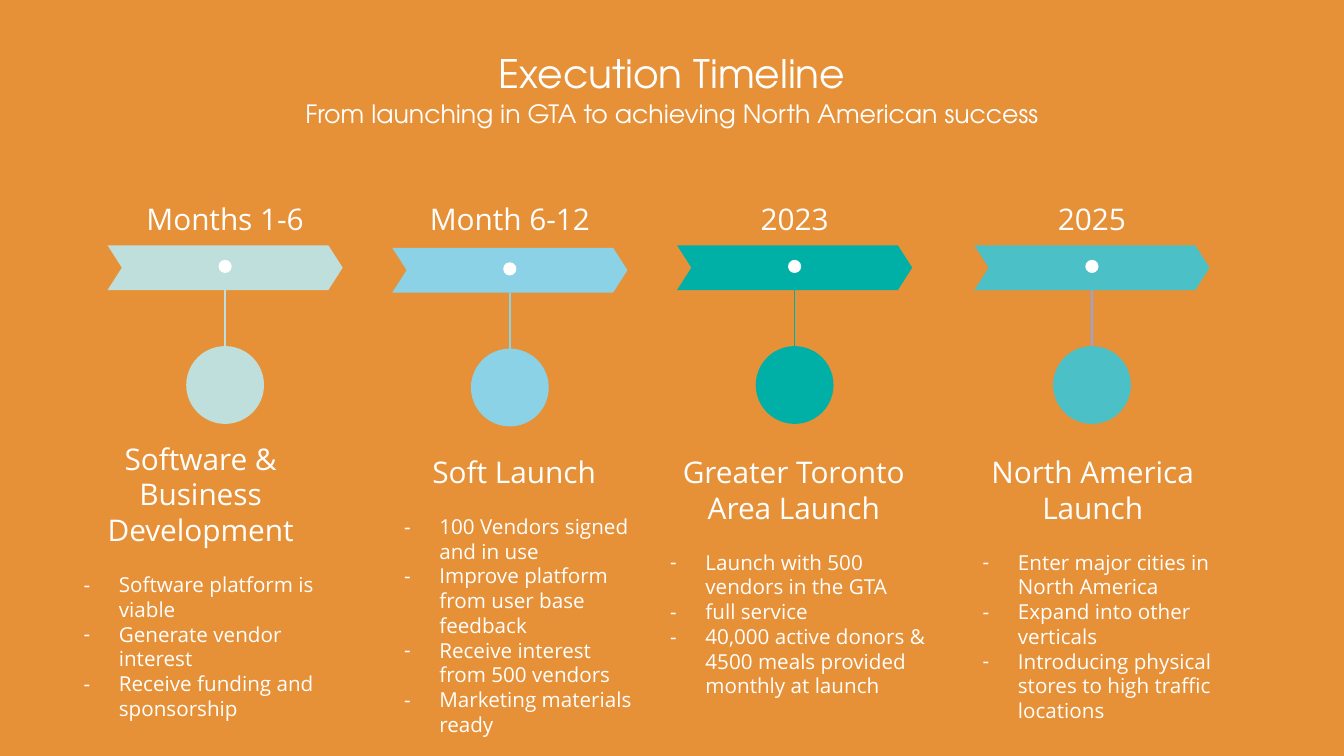
from dataclasses import dataclass

import pptx
import pptx.dml.color
import pptx.enum.shapes
import pptx.enum.text
import pptx.oxml
import pptx.oxml.ns
import pptx.util
from pptx.util import Pt

SHAPE = pptx.enum.shapes.MSO_SHAPE
ALIGN = pptx.enum.text.PP_ALIGN
ANCHOR = pptx.enum.text.MSO_ANCHOR

WHITE = "FFFFFF"
BODY_FONT = "Open Sans"
TITLE_FONT = "TeX Gyre Adventor"
HEADING_SIZE = 21.3
GOAL_SIZE = 14.7

ARROW_WIDTH, ARROW_HEIGHT = 168, 32
DOT_SIZE, DOT_DROP = 9.4, 10.4
CIRCLE_SIZE, CIRCLE_DROP = 55.6, 72
DATE_WIDTH, DATE_HEIGHT, DATE_TOP = 138, 33, 140


@dataclass
class Phase:
    date: str
    heading: str
    goals: list
    color: str
    stem_color: str
    center: float
    arrow_top: float
    plan_box: tuple


PHASES = [
    Phase("Months 1-6", "Software & Business Development",
          ["Software platform is viable", "Generate vendor interest",
           "Receive funding and sponsorship"],
          "BEDFDC", "BEDFDC", 160.8, 175.2, (41.8, 311, 203, 86.4)),
    Phase("Month 6-12", "Soft Launch",
          ["100 Vendors signed and in use",
           "Improve platform from user base feedback",
           "Receive interest from 500 vendors", "Marketing materials ready"],
          "8BD2E6", "8BD2E6", 364.2, 177, (270.7, 320.4, 193, 86.4)),
    Phase("2023", "Greater Toronto Area Launch",
          ["Launch with 500 vendors in the GTA", "full service",
           "40,000 active donors & 4500 meals provided monthly at launch"],
          "00B0A6", "00B0A6", 567.6, 175.2, (460.8, 320.4, 212.4, 213)),
    Phase("2025", "North America Launch",
          ["Enter major cities in North America", "Expand into other verticals",
           "Introducing physical stores to high traffic locations"],
          "4CC0C7", "91A4E9", 780, 175.2, (684, 320.4, 193, 86.4)),
]


def rgb(color):
    return pptx.dml.color.RGBColor.from_string(color)


def write(paragraph, text, *, size, font=BODY_FONT, color=WHITE,
          align=ALIGN.LEFT, before=0, spacing=1.0):
    run = paragraph.add_run()
    run.text = text
    run.font.size = Pt(size)
    run.font.name = font
    run.font.color.rgb = rgb(color)
    paragraph.alignment = align
    paragraph.space_before = Pt(before)
    paragraph.line_spacing = spacing


def set_bullet(paragraph, mark=None, margin=0, indent=0):
    """Set the indents and the bullet mark, or no bullet if mark is None."""
    properties = paragraph._p.get_or_add_pPr()
    properties.set("marL", str(Pt(margin)))
    properties.set("indent", str(Pt(indent)))
    namespace = pptx.oxml.ns.nsdecls("a")
    if mark is None:
        parts = [f"<a:buNone {namespace}/>"]
    else:
        parts = [
            f'<a:buClr {namespace}><a:srgbClr val="{WHITE}"/></a:buClr>',
            f'<a:buFont {namespace} typeface="{BODY_FONT}"/>',
            f'<a:buChar {namespace} char="{mark}"/>',
        ]
    for part in parts:
        properties.append(pptx.oxml.parse_xml(part))


def fill_placeholder(placeholder, text, box, anchor, size):
    placeholder.left, placeholder.top, placeholder.width, placeholder.height = map(Pt, box)
    frame = placeholder.text_frame
    frame.margin_left = frame.margin_right = frame.margin_top = frame.margin_bottom = 0
    frame.auto_size = pptx.enum.text.MSO_AUTO_SIZE.NONE
    frame.vertical_anchor = anchor
    paragraph = frame.paragraphs[0]
    set_bullet(paragraph)
    write(paragraph, text, size=size, font=TITLE_FONT, align=ALIGN.CENTER, spacing=0.86)


def add_text_frame(slide, box):
    frame = slide.shapes.add_textbox(*map(Pt, box)).text_frame
    frame.word_wrap = True
    return frame


def add_filled(shapes, kind, box, color):
    shape = shapes.add_shape(kind, *map(Pt, box))
    shape.shadow.inherit = False
    shape.fill.solid()
    shape.fill.fore_color.rgb = rgb(color)
    shape.line.fill.background()
    return shape


def add_arrow(slide, phase):
    """Add the chevron with its white dot as one group."""
    group = slide.shapes.add_group_shape()
    arrow = add_filled(group.shapes, SHAPE.CHEVRON,
                       (phase.center - ARROW_WIDTH / 2, phase.arrow_top,
                        ARROW_WIDTH, ARROW_HEIGHT), phase.color)
    arrow.adjustments[0] = 0.32
    add_filled(group.shapes, SHAPE.OVAL,
               (phase.center - DOT_SIZE / 2, phase.arrow_top + DOT_DROP,
                DOT_SIZE, DOT_SIZE), WHITE)


def add_stem(slide, phase, circle):
    """Join the top of the circle to the arrow above it."""
    stem = slide.shapes.add_connector(
        pptx.enum.shapes.MSO_CONNECTOR.STRAIGHT,
        Pt(phase.center), Pt(phase.arrow_top + CIRCLE_DROP),
        Pt(phase.center), Pt(phase.arrow_top + ARROW_HEIGHT))
    stem.begin_connect(circle, 0)
    stem.line.color.rgb = rgb(phase.stem_color)
    stem.line.width = Pt(1)
    stem._element.spPr.append(
        pptx.oxml.parse_xml(f"<a:effectLst {pptx.oxml.ns.nsdecls('a')}/>"))


def add_plan(slide, phase):
    frame = add_text_frame(slide, phase.plan_box)
    write(frame.paragraphs[0], phase.heading, size=HEADING_SIZE, align=ALIGN.CENTER)
    for number, goal in enumerate(phase.goals):
        paragraph = frame.add_paragraph()
        set_bullet(paragraph, "-", margin=36, indent=-25.2)
        write(paragraph, goal, size=GOAL_SIZE, before=0 if number else 17.6)


def add_phase(slide, phase):
    add_arrow(slide, phase)
    circle = add_filled(slide.shapes, SHAPE.OVAL,
                        (phase.center - CIRCLE_SIZE / 2, phase.arrow_top + CIRCLE_DROP,
                         CIRCLE_SIZE, CIRCLE_SIZE), phase.color)
    add_stem(slide, phase, circle)
    date = add_text_frame(slide, (phase.center - DATE_WIDTH / 2, DATE_TOP,
                                  DATE_WIDTH, DATE_HEIGHT))
    write(date.paragraphs[0], phase.date, size=HEADING_SIZE, align=ALIGN.CENTER)
    add_plan(slide, phase)


def main():
    presentation = pptx.Presentation()
    presentation.slide_width, presentation.slide_height = Pt(960), Pt(540)
    slide = presentation.slides.add_slide(presentation.slide_layouts[1])
    slide.background.fill.solid()
    slide.background.fill.fore_color.rgb = rgb("E69138")

    fill_placeholder(slide.shapes.title, "Execution Timeline",
                     (72, 22.3, 816, 64), ANCHOR.MIDDLE, 28)
    fill_placeholder(slide.placeholders[1],
                     "From launching in GTA to achieving North American success",
                     (72, 73.4, 816, 31.7), ANCHOR.TOP, 18)
    for phase in PHASES:
        add_phase(slide, phase)
    presentation.save("out.pptx")


if __name__ == "__main__":
    main()
